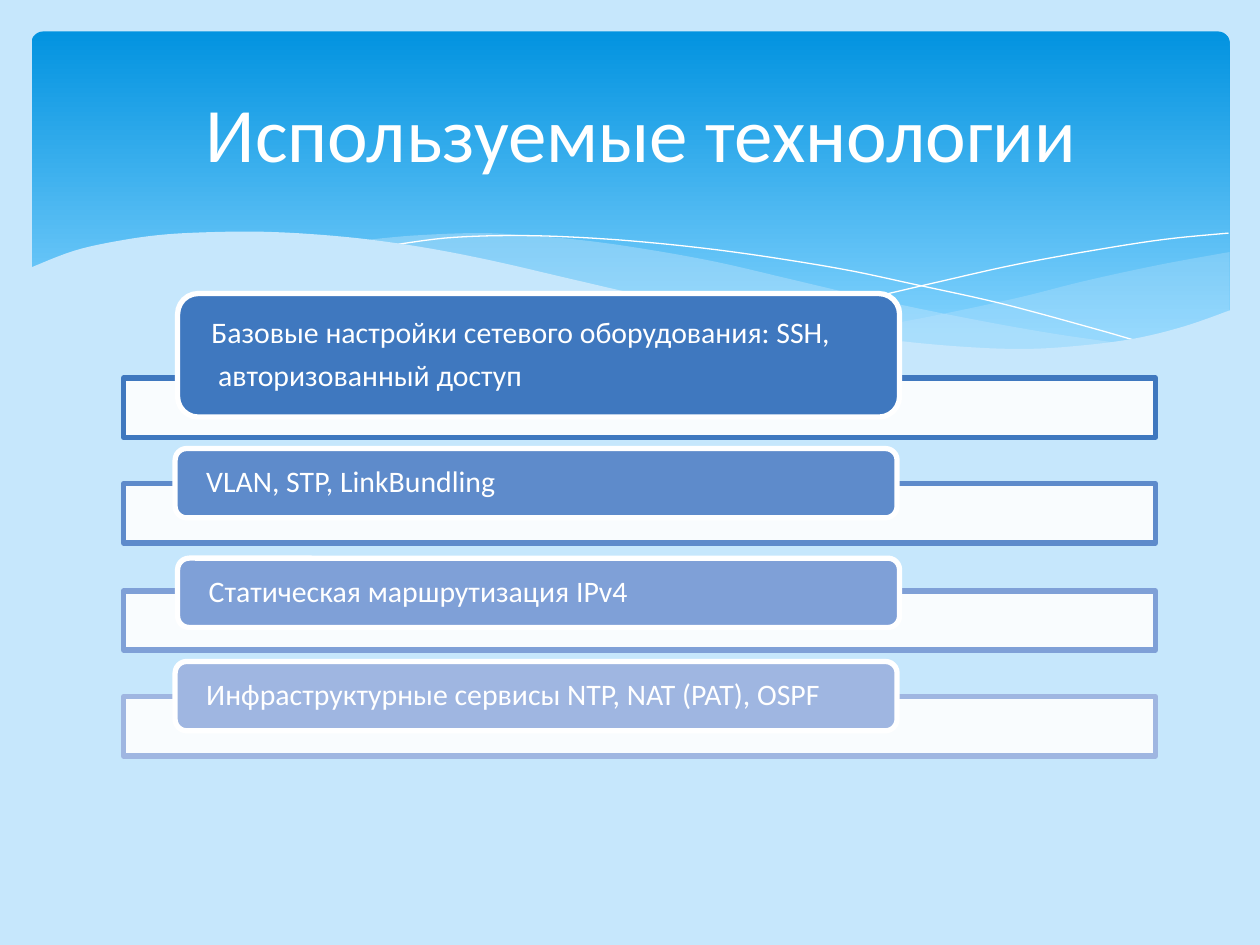
from lxml import etree
from pptx import Presentation
from pptx.dml.color import RGBColor
from pptx.enum import shapes, text
from pptx.oxml.ns import qn
from pptx.util import Inches, Pt

SKY = RGBColor(0xC6, 0xE7, 0xFC)
BANNER_TOP = RGBColor(0x02, 0x93, 0xE0)
BANNER_BOTTOM = RGBColor(0x83, 0xD3, 0xFE)
WHITE = RGBColor(0xFF, 0xFF, 0xFF)
BLUE_1 = RGBColor(0x3F, 0x78, 0xBF)
BLUE_2 = RGBColor(0x5E, 0x8B, 0xCB)
BLUE_3 = RGBColor(0x7F, 0xA0, 0xD7)
BLUE_4 = RGBColor(0x9F, 0xB6, 0xE1)
FONT = "Calibri"


def smooth(points, steps=6):
    """Return points along a Catmull-Rom curve through the given points."""
    padded = [points[0], *points, points[-1]]
    curve = [points[0]]
    for a, b, c, d in zip(padded, padded[1:], padded[2:], padded[3:]):
        for step in range(1, steps + 1):
            t = step / steps
            curve.append(tuple(
                0.5 * (2 * q + (r - p) * t + (2 * p - 5 * q + 4 * r - s) * t**2
                       + (3 * q - p - 3 * r + s) * t**3)
                for p, q, r, s in zip(a, b, c, d)))
    return curve


def paint(shape, fill=None, opacity=100, line=None, width=3):
    """Give a shape its fill, opacity and outline, without a shadow."""
    shape.shadow.inherit = False
    if fill is None:
        shape.fill.background()
    else:
        shape.fill.solid()
        shape.fill.fore_color.rgb = fill
        if opacity < 100:
            color = shape.fill._xPr.find(qn("a:solidFill"))[0]
            etree.SubElement(color, qn("a:alpha"), val=str(opacity * 1000))
    if line is None:
        shape.line.fill.background()
    else:
        shape.line.color.rgb = line
        shape.line.width = Pt(width)


prs = Presentation()
prs.slide_width, prs.slide_height = Inches(10), Inches(7.5)
slide = prs.slides.add_slide(prs.slide_layouts[5])
slide.background.fill.solid()
slide.background.fill.fore_color.rgb = SKY

# Banner with a gradient
banner = slide.shapes.add_shape(
    shapes.MSO_SHAPE.ROUNDED_RECTANGLE,
    Inches(0.25), Inches(0.25), Inches(9.51), Inches(2.7))
banner.adjustments[0] = 0.034
paint(banner)
banner.fill.gradient()
banner.fill.gradient_angle = 270
for stop, color, position in zip(
        banner.fill.gradient_stops, (BANNER_TOP, BANNER_BOTTOM), (0, 0.9)):
    stop.color.rgb = color
    stop.position = position

# Waves: each outline is a chain of smooth curves, closed when filled
right_wave = [
    [(9.76, 2), (9.21, 2.1), (8.61, 2.23), (8.05, 2.37), (7.29, 2.53), (6.61, 2.65)],
    [(6.61, 2.65), (7.05, 2.71), (7.57, 2.76), (8.03, 2.78), (8.54, 2.76),
     (8.97, 2.7), (9.35, 2.62), (9.76, 2.47)]]
middle_wave = [
    [(8.93, 2.73), (8.37, 2.65), (7.75, 2.54), (7.06, 2.4), (6.29, 2.22), (5.69, 2.08),
     (5.14, 1.98), (4.65, 1.91), (4.2, 1.87), (3.8, 1.85), (3.28, 1.87), (2.86, 1.91)],
    [(2.86, 1.91), (3.42, 1.99), (4.04, 2.11), (4.49, 2.22), (5.3, 2.4), (6.01, 2.55),
     (6.65, 2.66), (7.22, 2.74), (7.73, 2.77), (8.18, 2.78), (8.57, 2.77), (8.93, 2.73)]]
falling_line = [
    [(3.09, 1.95), (3.53, 1.89), (4.01, 1.87), (4.5, 1.88), (5.1, 1.92), (5.82, 2),
     (6.65, 2.13), (7.27, 2.26), (7.95, 2.41), (8.69, 2.61), (9.07, 2.72)]]
rising_line = [
    [(6.13, 2.57), (6.72, 2.41), (7.48, 2.23), (8.06, 2.1), (8.66, 1.99),
     (9.24, 1.9), (9.75, 1.85)]]
front_wave = [
    [(9.77, 2.46), (9.4, 2.59), (8.99, 2.69), (8.5, 2.75), (8.09, 2.77), (7.61, 2.75),
     (7.08, 2.7), (6.48, 2.62), (5.79, 2.5), (5.03, 2.33), (4.47, 2.2), (3.91, 2.07),
     (3.4, 1.97), (2.92, 1.9), (2.5, 1.86), (2.11, 1.84), (1.77, 1.84), (1.32, 1.86),
     (0.95, 1.91), (0.59, 1.99), (0.23, 2.13)],
    [(0.23, 3.29)], [(9.77, 3.29)]]

for outline, fill, opacity, line in (
        (right_wave, SKY, 29, None), (middle_wave, SKY, 40, None),
        (falling_line, None, 100, WHITE), (rising_line, None, 100, WHITE),
        (front_wave, SKY, 100, None)):
    points = [(Inches(x), Inches(y)) for curve in outline for x, y in smooth(curve)]
    builder = slide.shapes.build_freeform(*points[0])
    builder.add_line_segments(points[1:], close=fill is not None)
    paint(builder.convert_to_shape(), fill, opacity, line, width=0)

# Technologies: a wide frame with a label on its upper edge
technologies = (
    (BLUE_1, 3, 1.41, 2.33, 0.98,
     "Базовые настройки сетевого оборудования: SSH,\n авторизованный доступ"),
    (BLUE_2, 3.84, 1.39, 3.56, 0.55, "VLAN, STP, LinkBundling"),
    (BLUE_3, 4.69, 1.41, 4.43, 0.55, "Статическая маршрутизация IPv4"),
    (BLUE_4, 5.53, 1.39, 5.25, 0.55, "Инфраструктурные сервисы NTP, NAT (PAT), OSPF"),
)
for color, frame_top, left, top, height, wording in technologies:
    frame = slide.shapes.add_shape(
        shapes.MSO_SHAPE.RECTANGLE,
        Inches(0.98), Inches(frame_top), Inches(8.19), Inches(0.47))
    paint(frame, WHITE, 90, color)

    label = slide.shapes.add_shape(
        shapes.MSO_SHAPE.ROUNDED_RECTANGLE,
        Inches(left), Inches(top), Inches(5.73), Inches(height))
    paint(label, color, line=WHITE)
    body = label.text_frame
    body.text = wording
    body.word_wrap = True
    body.vertical_anchor = text.MSO_ANCHOR.MIDDLE
    body.margin_left = body.margin_right = Inches(0.22)
    body.margin_top = body.margin_bottom = 0
    for paragraph in body.paragraphs:
        paragraph.alignment = text.PP_ALIGN.LEFT
        paragraph.line_spacing = 0.9
        paragraph.space_after = Pt(6)
        paragraph.font.size = Pt(17)
        paragraph.font.name = FONT
        paragraph.font.color.rgb = WHITE

# Title, brought in front of the banner
title = slide.shapes.title
title.left, title.top = Inches(0.59), Inches(0.36)
title.width, title.height = Inches(9), Inches(1.37)
title.text_frame.text = "Используемые технологии"
title.text_frame.vertical_anchor = text.MSO_ANCHOR.MIDDLE
heading = title.text_frame.paragraphs[0]
heading.alignment = text.PP_ALIGN.CENTER
heading.runs[0].font.size = Pt(44)
heading.runs[0].font.name = FONT
heading.runs[0].font.color.rgb = WHITE
slide.shapes._spTree.append(title._element)

prs.save("out.pptx")
